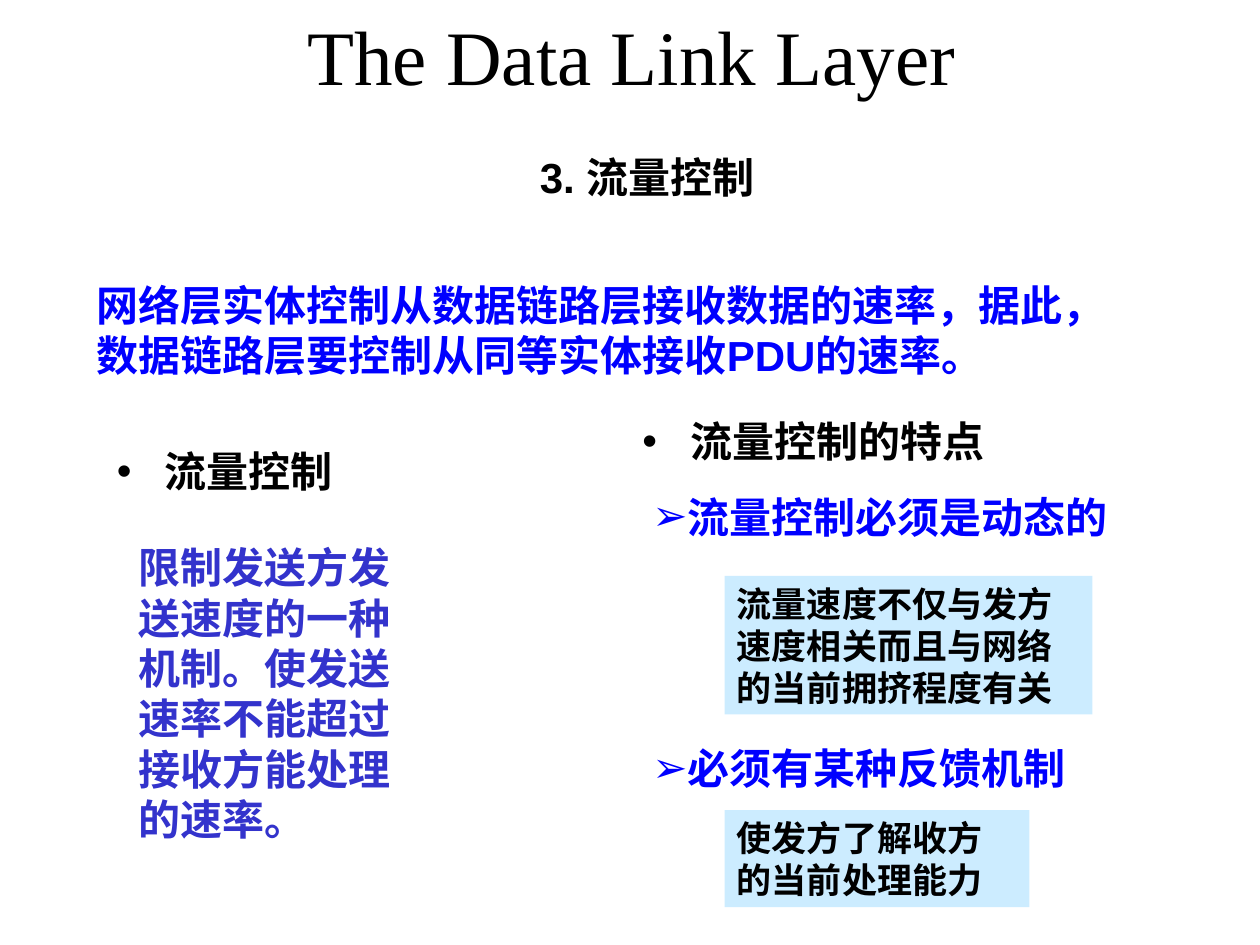
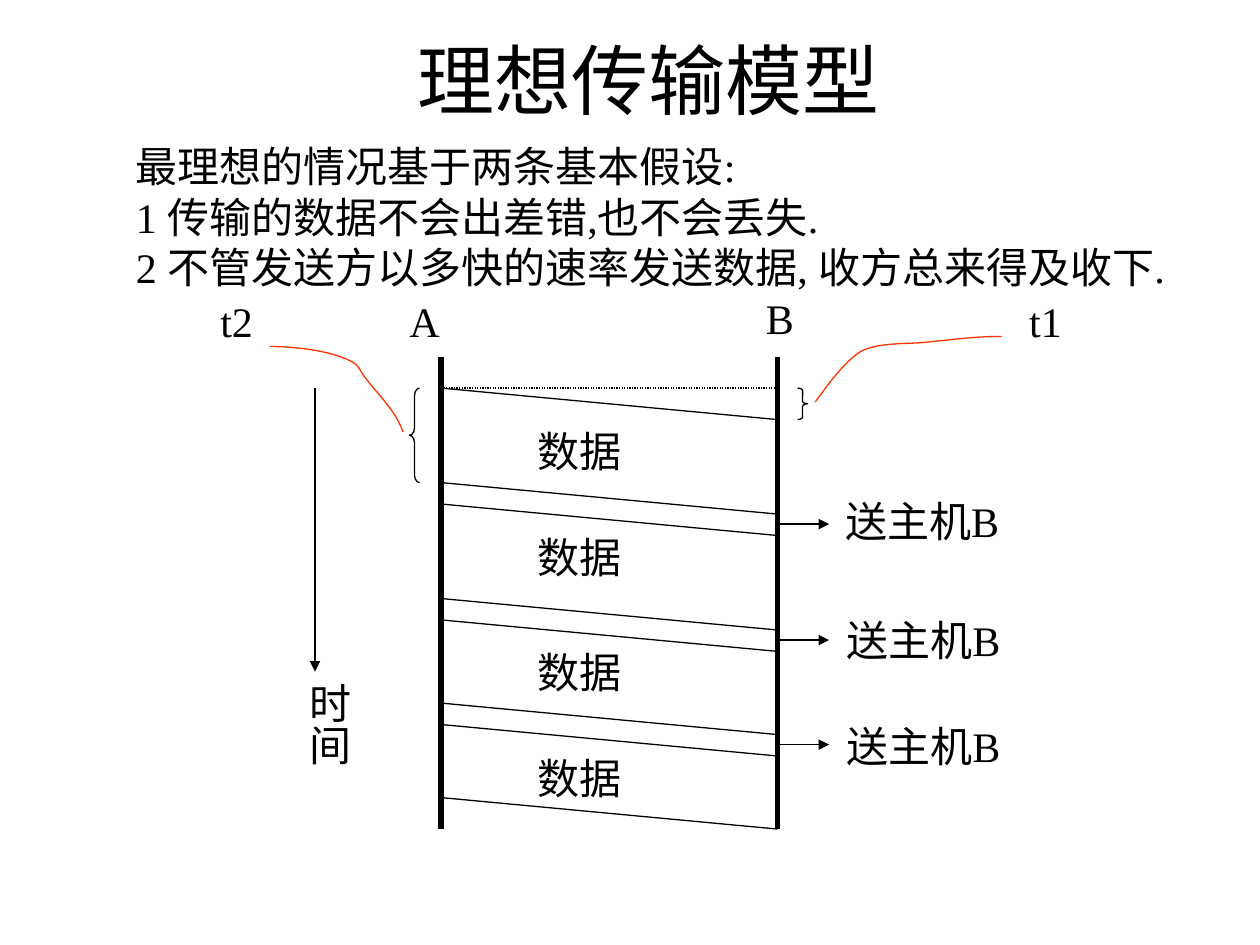
"""Build two slides on flow control and the ideal transmission model."""
from dataclasses import dataclass

from lxml.etree import SubElement
from pptx import Presentation
from pptx.dml.color import RGBColor
from pptx.enum.dml import MSO_LINE
from pptx.enum.shapes import MSO_CONNECTOR as CONN, MSO_SHAPE as SHAPE
from pptx.enum.text import MSO_ANCHOR as ANCHOR, PP_ALIGN as ALIGN
from pptx.oxml.ns import qn
from pptx.util import Inches, Pt


@dataclass(frozen=True)
class Theme:
    serif: str = "Times New Roman"
    sans: str = "Arial"
    black: str = "000000"
    blue: str = "0000FF"
    indigo: str = "3333CC"
    pale: str = "CCECFF"
    red: str = "FF3300"
    title: int = 44
    body: int = 24
    note: int = 20
    thin: float = 0.75
    thick: float = 3


theme = Theme()


def add_text(s, box, lines, size=theme.body, color=theme.black, sans=False,
             wrap=True, align=ALIGN.LEFT, bullet=None, indent=0, fill=None):
    box = [Inches(v) for v in box]
    if fill:
        sp = s.shapes.add_shape(SHAPE.RECTANGLE, *box)
        sp.shadow.inherit = False
        sp.fill.solid()
        sp.fill.fore_color.rgb = RGBColor.from_string(fill)
        sp.line.fill.background()
    else:
        sp = s.shapes.add_textbox(*box)
    tf = sp.text_frame
    tf.text = "\n".join(lines)
    tf.word_wrap = wrap
    tf.vertical_anchor = ANCHOR.TOP
    for p in tf.paragraphs:
        p.alignment = align
        if bullet:
            pPr = p._p.get_or_add_pPr()
            pPr.set("marL", str(Inches(indent)))
            pPr.set("indent", str(Inches(-indent)))
            clr = SubElement(pPr, qn("a:buClr"))
            SubElement(clr, qn("a:srgbClr"), val=color)
            SubElement(pPr, qn("a:buFont"), typeface=theme.sans)
            SubElement(pPr, qn("a:buChar"), char=bullet)
        for r in p.runs:
            r.font.name = theme.sans if sans else theme.serif
            r.font.size = Pt(size)
            r.font.bold = sans
            r.font.color.rgb = RGBColor.from_string(color)
    return tf


def add_line(s, x1, y1, x2, y2, width=theme.thin, arrow=False):
    c = s.shapes.add_connector(CONN.STRAIGHT, *[Inches(v) for v in (x1, y1, x2, y2)])
    c.line.color.rgb = RGBColor.from_string(theme.black)
    c.line.width = Pt(width)
    if arrow:
        SubElement(c.line._get_or_add_ln(), qn("a:tailEnd"), type="triangle")
    SubElement(c._element.spPr, qn("a:effectLst"))
    return c


prs = Presentation()
prs.slide_width, prs.slide_height = Inches(10), Inches(7.5)
blank = prs.slide_layouts[6]

s = prs.slides.add_slide(blank)
tf = add_text(s, (0.88, 0.02, 8.42, 1.6), ["The Data Link Layer ", " 3. 流量控制"],
              theme.title, align=ALIGN.CENTER)
heading = tf.paragraphs[1]
heading.space_before = Pt(29)
for r in heading.runs:
    r.font.name, r.font.size, r.font.bold = theme.sans, Pt(theme.body), True

add_text(s, (0.67, 2.17, 8.5, 0.9),
         ["网络层实体控制从数据链路层接收数据的速率，据此，数据链路层要控制从同等实体接收PDU的速率。"],
         color=theme.blue, sans=True)
for box, topic in [((0.83, 3.49, 2.08, 0.52), "流量控制"),
                   ((5, 3.25, 3.17, 0.58), "流量控制的特点")]:
    add_text(s, box, [topic], sans=True, bullet="•", indent=0.38)
add_text(s, (1, 4.25, 2.42, 2.5),
         ["限制发送方发送速度的一种机制。使发送速率不能超过接收方能处理的速率。"],
         color=theme.indigo, sans=True)
tf = add_text(s, (5.08, 3.85, 4, 2.5), ["流量控制必须是动态的", "必须有某种反馈机制"],
              color=theme.blue, sans=True, align=ALIGN.JUSTIFY, bullet="➢")
tf.paragraphs[1].space_before = Pt(115)
for box, note in [((5.75, 4.57, 2.92, 1.1), "流量速度不仅与发方速度相关而且与网络的当前拥挤程度有关"),
                  ((5.75, 6.43, 2.42, 0.77), "使发方了解收方的当前处理能力")]:
    add_text(s, box, [note], theme.note, sans=True, fill=theme.pale)

s = prs.slides.add_slide(blank)
tf = add_text(s, (0.9, 0, 8.5, 1.25), ["理想传输模型"], theme.title, align=ALIGN.CENTER)
tf.vertical_anchor = ANCHOR.MIDDLE
add_text(s, (0.98, 1.07, 8.68, 1.3),
         ["最理想的情况基于两条基本假设:",
          "1 传输的数据不会出差错,也不会丢失.",
          "2 不管发送方以多快的速率发送数据, 收方总来得及收下."], wrap=False)

a_x, b_x, start, delay = 3.5, 6.17, 3.08, 0.25
for x in (a_x, b_x):
    add_line(s, x, 2.83, x, 6.58, theme.thick)
add_line(s, a_x, start, b_x, start).line.dash_style = MSO_LINE.ROUND_DOT
add_line(s, 2.5, start, 2.5, 5.33, arrow=True)

frames = [(start, 3.83), (4, 4.75), (4.92, 5.58), (5.75, 6.33)]
for first, last in frames:
    for y in (first, last):
        add_line(s, a_x, y, b_x, y + delay)
for _, last in frames[:-1]:
    add_line(s, b_x, last + 0.33, 6.58, last + 0.33, arrow=True)

labels = [("A", 3.15, 2.3, 0.44), ("B", 5.98, 2.27, 0.44),
          ("t1", 8.07, 2.3, 0.46), ("t2", 1.65, 2.3, 0.46)]
labels += [("数据", 4.17, y, 0.9) for y in (3.33, 4.17, 5.08, 5.92)]
labels += [("送主机B", x, y, 1.5) for x, y in ((6.61, 3.88), (6.62, 4.83), (6.62, 5.67))]
for label, x, y, w in labels:
    add_text(s, (x, y, w, 0.5), [label], wrap=False)

tf = add_text(s, (2.26, 5.32, 0.6, 0.77), ["时间"], wrap=False)
tf.margin_left = tf.margin_right = Inches(0.05)
tf.margin_top = tf.margin_bottom = Inches(0.1)
tf._txBody.bodyPr.set("vert", "eaVert")

for brace, x, height, bend in [(SHAPE.RIGHT_BRACE, 6.33, delay, 0.25),
                               (SHAPE.LEFT_BRACE, 3.25, 0.75, 0.75)]:
    sp = s.shapes.add_shape(brace, Inches(x), Inches(start), Inches(0.08), Inches(height))
    sp.adjustments[0] = bend
    sp.shadow.inherit = False
    sp.fill.background()
    sp.line.color.rgb = RGBColor.from_string(theme.black)
    sp.line.width = Pt(theme.thin)

t1_curve = [(6.47, 3.19), (6.56, 3.07), (6.69, 2.88), (6.83, 2.79), (6.96, 2.72),
            (7.17, 2.73), (7.31, 2.72), (7.53, 2.7), (7.72, 2.67), (7.95, 2.67)]
t2_curve = [(3.2, 3.43), (3.14, 3.26), (3.01, 3.14), (2.9, 3), (2.87, 2.96),
            (2.85, 2.91), (2.81, 2.88), (2.64, 2.78), (2.33, 2.75), (2.14, 2.75)]
steps = 12
for curve in (t1_curve, t2_curve):
    points = [[Inches(v) for v in curve[0]]]
    for i in range(0, len(curve) - 1, 3):
        for t in [k / steps for k in range(1, steps + 1)]:
            weights = ((1 - t) ** 3, 3 * t * (1 - t) ** 2, 3 * t ** 2 * (1 - t), t ** 3)
            points.append([Inches(sum(w * pt[axis] for w, pt in zip(weights, curve[i:i + 4])))
                           for axis in (0, 1)])
    builder = s.shapes.build_freeform(*points[0])
    builder.add_line_segments(points[1:], close=False)
    sp = builder.convert_to_shape()
    sp.shadow.inherit = False
    sp.fill.background()
    sp.line.color.rgb = RGBColor.from_string(theme.red)
    sp.line.width = Pt(theme.thin)

prs.save("out.pptx")
